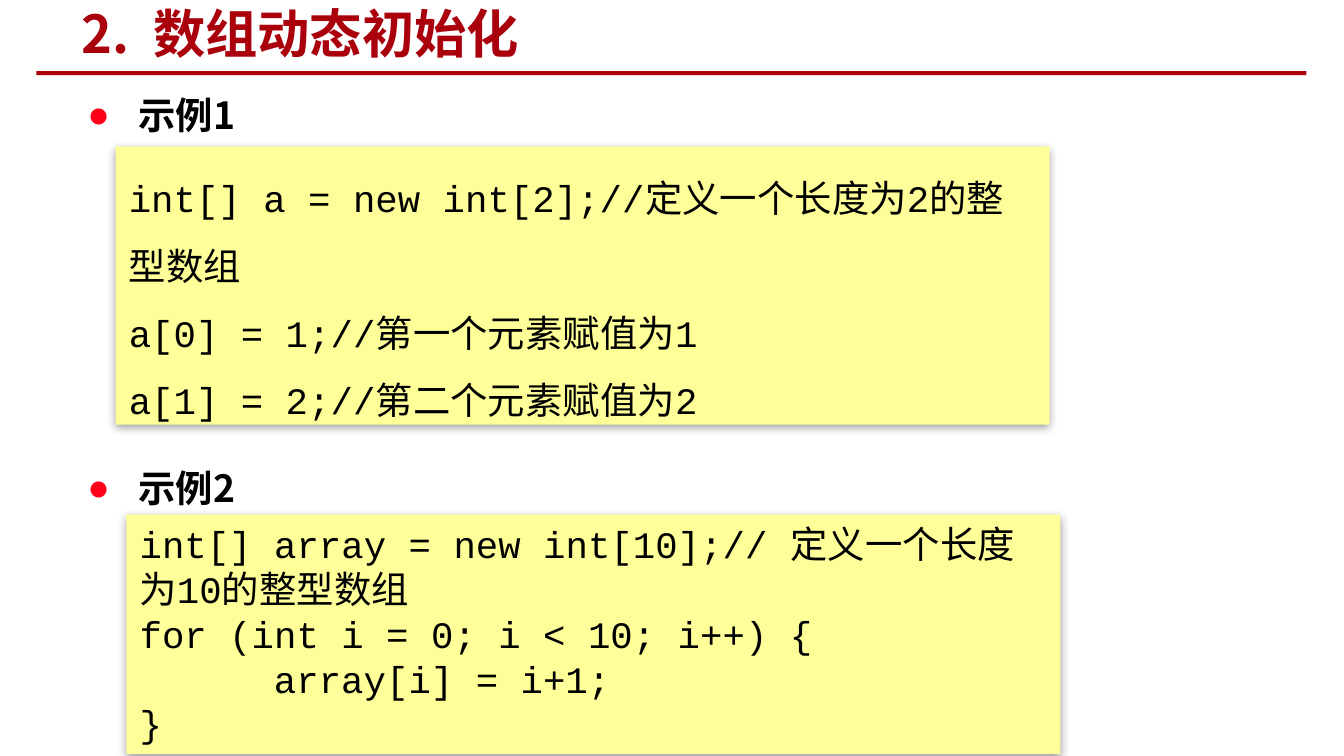
from lxml import etree
from pptx import Presentation
from pptx.dml.color import RGBColor
from pptx.enum.shapes import MSO_SHAPE
from pptx.enum.text import MSO_ANCHOR, MSO_AUTO_SIZE, PP_ALIGN
from pptx.oxml.ns import qn
from pptx.util import Inches, Pt

RECT = MSO_SHAPE.RECTANGLE
LEFT = PP_ALIGN.LEFT
TOP, MIDDLE = MSO_ANCHOR.TOP, MSO_ANCHOR.MIDDLE
FIXED = MSO_AUTO_SIZE.NONE

# Content
TITLE = "2.  数组动态初始化"
HEADINGS = ["示例1", "示例2"]
EXAMPLES = [
    {
        "box": (0.86, 1.09, 6.95, 2.07),
        "line_spacing": 1.5,
        "code": [
            "int[] a = new int[2];//定义一个长度为2的整型数组",
            "a[0] = 1;//第一个元素赋值为1",
            "a[1] = 2;//第二个元素赋值为2",
        ],
    },
    {
        "box": (0.94, 3.83, 6.95, 1.78),
        "line_spacing": 1.0,
        "code": [
            "int[] array = new int[10];// 定义一个长度为10的整型数组",
            "for (int i = 0; i < 10; i++) {",
            "\tarray[i] = i+1;",
            "}",
        ],
    },
]

# Style
SANS, MONO, BULLET_FONT = "Noto Sans CJK SC", "Courier New", "Arial"
CRIMSON, BULLET_RED, BLACK, YELLOW = "AA000B", "FF0019", "000000", "FFFF99"
HEADING_GAPS = [4, 164]  # points above each heading
HEADING_INDENT = Inches(0.38)
CODE_TAB = Inches(1)


def color(value):
    return RGBColor.from_string(value)


def place(shape, box):
    shape.left, shape.top, shape.width, shape.height = map(Inches, box)


def add_child(parent, tag, **attributes):
    return etree.SubElement(parent, qn(tag), attributes)


def set_text(shape, lines, size, font, ink, bold, anchor, line_spacing=1.0):
    frame = shape.text_frame
    frame.text = "\n".join(lines)
    frame.word_wrap = True
    frame.auto_size = FIXED
    frame.vertical_anchor = anchor
    for paragraph in frame.paragraphs:
        paragraph.alignment = LEFT
        paragraph.line_spacing = line_spacing
        for run in paragraph.runs:
            run.font.size = Pt(size)
            run.font.bold = bold
            run.font.color.rgb = color(ink)
            run.font.name = font
            add_child(run.font._element, "a:ea", typeface=SANS)
    return frame.paragraphs


def add_bullet(paragraph):
    properties = paragraph._p.get_or_add_pPr()
    properties.set("marL", str(HEADING_INDENT))
    properties.set("indent", str(-HEADING_INDENT))
    bullet_color = add_child(properties, "a:buClr")
    add_child(bullet_color, "a:srgbClr", val=BULLET_RED)
    add_child(properties, "a:buFont", typeface=BULLET_FONT)
    add_child(properties, "a:buChar", char="●")


def add_tab_stop(paragraph):
    stops = add_child(paragraph._p.get_or_add_pPr(), "a:tabLst")
    add_child(stops, "a:tab", pos=str(CODE_TAB), algn="l")


def add_panel(slide, box, fill):
    panel = slide.shapes.add_shape(RECT, *map(Inches, box))
    panel.fill.solid()
    panel.fill.fore_color.rgb = color(fill)
    panel.line.fill.background()
    panel.shadow.inherit = False
    return panel


def add_soft_shadow(panel):
    effects = panel._element.spPr.find(qn("a:effectLst"))
    shadow = add_child(effects, "a:outerShdw", blurRad=str(Pt(5)),
                       dist=str(Pt(1.6)), dir="5400000", rotWithShape="0")
    shade = add_child(shadow, "a:srgbClr", val=BLACK)
    add_child(shade, "a:alpha", val="38000")


# Widescreen slide, 16 to 9
presentation = Presentation()
presentation.slide_width = Inches(10)
presentation.slide_height = Inches(10 * 9 / 16)
slide = presentation.slides.add_slide(presentation.slide_layouts[1])

# Title and the rule under it
title = slide.shapes.title
place(title, (0.51, 0.02, 5.3, 0.45))
set_text(title, [TITLE], 28, SANS, CRIMSON, True, MIDDLE)
add_panel(slide, (0.27, 0.53, 9.45, 0.03), CRIMSON)

# Example headings
headings = slide.placeholders[1]
place(headings, (0.55, 0.47, 9.14, 3.75))
heading_lines = set_text(headings, HEADINGS, 20, SANS, BLACK, True, TOP, 1.5)
for heading, gap in zip(heading_lines, HEADING_GAPS):
    heading.space_before = Pt(gap)
    add_bullet(heading)

# Code panels
for example in EXAMPLES:
    panel = add_panel(slide, example["box"], YELLOW)
    add_soft_shadow(panel)
    code_lines = set_text(panel, example["code"], 20, MONO, BLACK, False, TOP,
                          example["line_spacing"])
    for code_line in code_lines:
        if code_line.text.startswith("\t"):
            add_tab_stop(code_line)

presentation.save("out.pptx")
